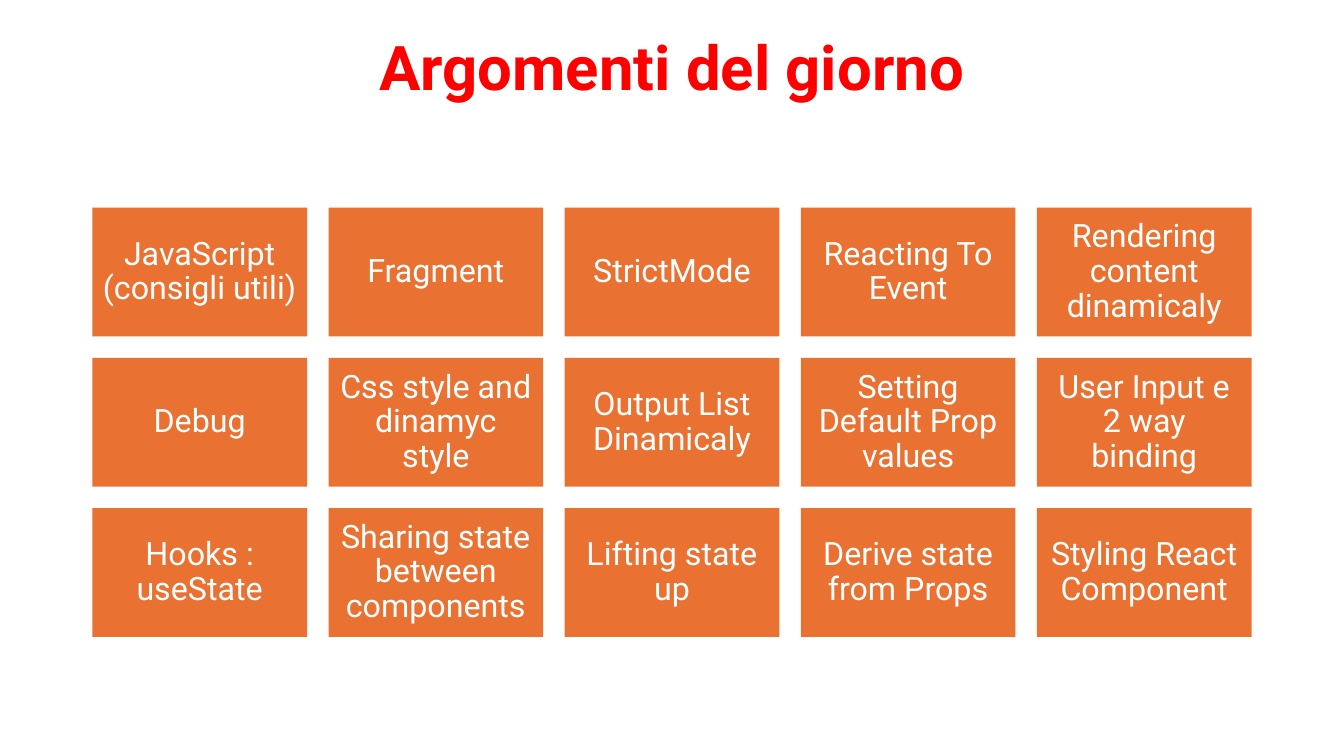
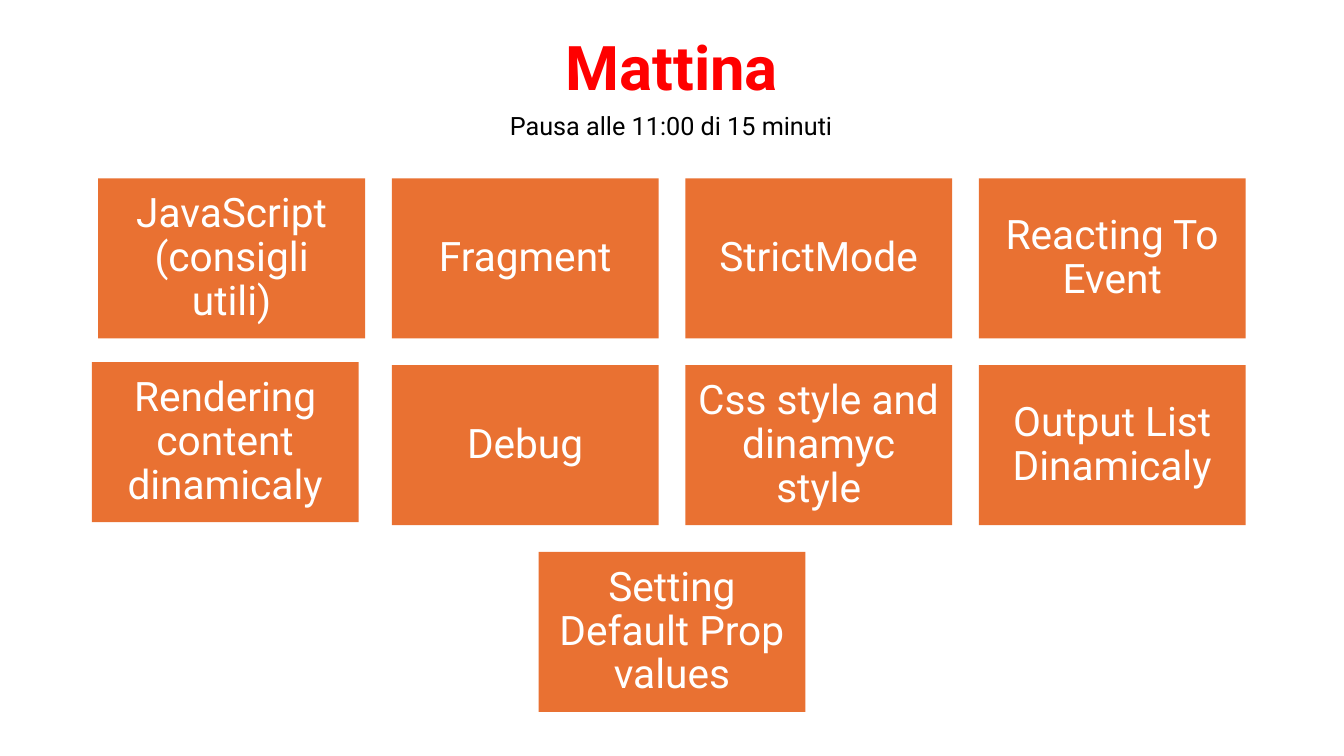
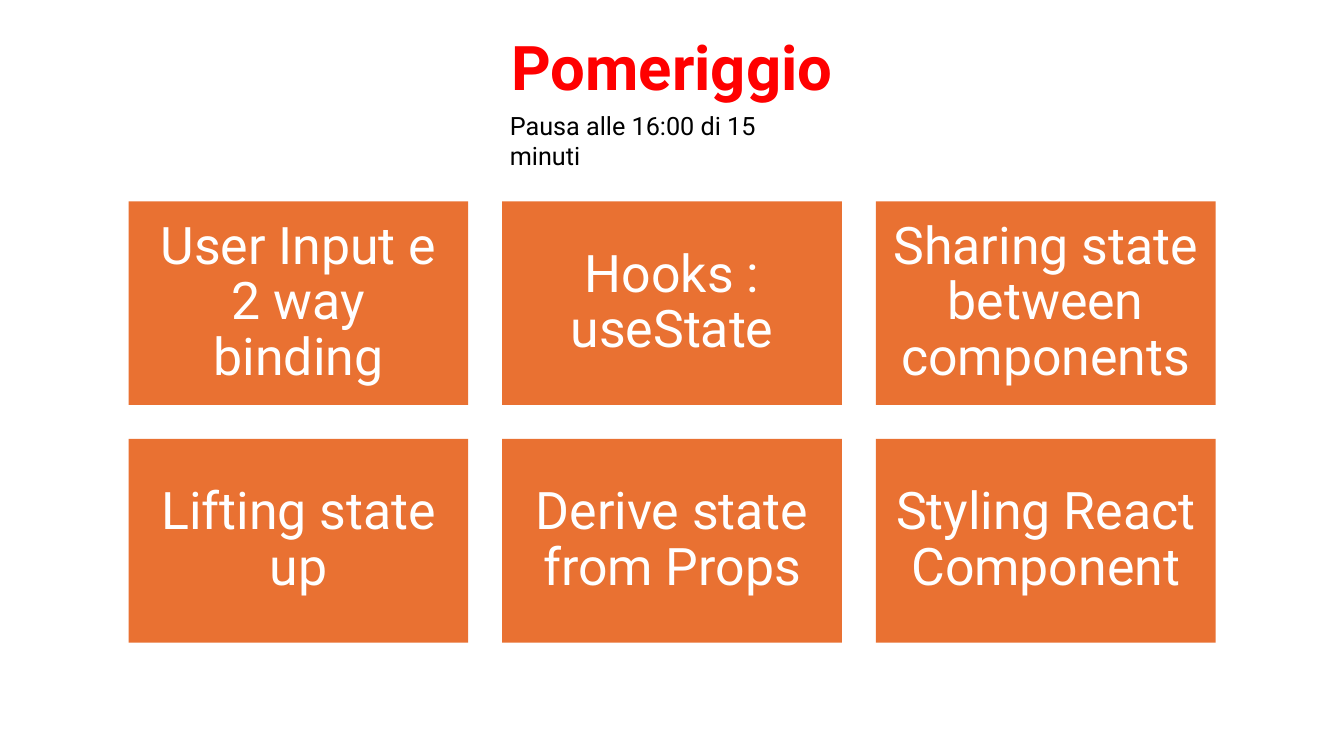
"""Build the three agenda slides of a web development course day."""
import pptx
import pptx.util
import pptx.dml.color
import pptx.enum.shapes
import pptx.enum.text

RED = pptx.dml.color.RGBColor(0xFF, 0x00, 0x00)
ORANGE = pptx.dml.color.RGBColor(0xE9, 0x71, 0x32)
WHITE = pptx.dml.color.RGBColor(0xFF, 0xFF, 0xFF)
BLACK = pptx.dml.color.RGBColor(0x00, 0x00, 0x00)
FONT = "Roboto"
SLIDE_WIDTH = pptx.util.Inches(13.33)
SLIDE_HEIGHT = pptx.util.Inches(7.5)
TITLE_ONLY = 5
TITLE_BOX = (6.88, 4.27, 86.25, 19.33)
GAP_SHARE = 0.1
HEIGHT_SHARE = 0.6
INSET_SHARE = 0.05

MORNING = [
    "JavaScript (consigli utili)", "Fragment", "StrictMode", "Reacting To Event",
    "Rendering content dinamicaly", "Debug", "Css style and dinamyc style",
    "Output List Dinamicaly", "Setting Default Prop values",
]
AFTERNOON = [
    "User Input e 2 way binding", "Hooks : useState", "Sharing state between components",
    "Lifting state up", "Derive state from Props", "Styling React Component",
]


def across(percent):
    """Return a percentage of the slide width as a length."""
    return int(SLIDE_WIDTH * percent / 100)


def down(percent):
    """Return a percentage of the slide height as a length."""
    return int(SLIDE_HEIGHT * percent / 100)


def write(frame, text, size, color, bold=False, centred=True):
    """Put one formatted paragraph into a text frame."""
    frame.text = text
    frame.word_wrap = True
    paragraph = frame.paragraphs[0]
    if centred:
        paragraph.alignment = pptx.enum.text.PP_ALIGN.CENTER
        paragraph.line_spacing = 0.9
    font = paragraph.runs[0].font
    font.name, font.size, font.bold = FONT, pptx.util.Pt(size), bold
    font.color.rgb = color


def add_titled_slide(deck, heading):
    """Add a slide with its heading in the title placeholder."""
    slide = deck.slides.add_slide(deck.slide_layouts[TITLE_ONLY])
    title = slide.shapes.title
    left, top, width, height = TITLE_BOX
    title.left, title.top = across(left), down(top)
    title.width, title.height = across(width), down(height)
    write(title.text_frame, heading, 44, RED, bold=True)
    title.text_frame.auto_size = pptx.enum.text.MSO_AUTO_SIZE.NONE
    title.text_frame.vertical_anchor = pptx.enum.text.MSO_ANCHOR.TOP
    return slide


def add_break_note(slide, text, box):
    """Add the line that announces the break below the heading."""
    left, top, width, height = box
    note = slide.shapes.add_textbox(across(left), down(top), across(width), down(height))
    write(note.text_frame, text, 18, BLACK, centred=False)


def add_topic(slide, topic, left, top, width, size):
    """Add one topic tile whose height and insets follow its width."""
    tile = slide.shapes.add_shape(
        pptx.enum.shapes.MSO_SHAPE.RECTANGLE,
        int(left), int(top), int(width), int(width * HEIGHT_SHARE))
    tile.shadow.inherit = False
    tile.fill.solid()
    tile.fill.fore_color.rgb = ORANGE
    tile.line.fill.background()
    frame = tile.text_frame
    inset = int(width * INSET_SHARE * 0.9)
    frame.margin_left = frame.margin_right = inset
    frame.margin_top = frame.margin_bottom = inset
    frame.vertical_anchor = pptx.enum.text.MSO_ANCHOR.MIDDLE
    write(frame, topic, size, WHITE)


def add_topic_grid(slide, topics, columns, box, size, shifts=None):
    """Fill a box with rows of topic tiles, centring a short last row."""
    left, top, width = across(box[0]), down(box[1]), across(box[2])
    tile_width = width / (columns + (columns - 1) * GAP_SHARE)
    column_step = tile_width * (1 + GAP_SHARE)
    row_step = tile_width * (HEIGHT_SHARE + GAP_SHARE)
    for index, topic in enumerate(topics):
        row, column = divmod(index, columns)
        missing = max(0, columns - (len(topics) - row * columns))
        shift_x, shift_y = (shifts or {}).get(topic, (0, 0))
        add_topic(slide, topic,
                  left + (column + missing / 2) * column_step + across(shift_x),
                  top + row * row_step + down(shift_y), tile_width, size)


def main():
    """Build and save the deck."""
    deck = pptx.Presentation()
    deck.slide_width, deck.slide_height = SLIDE_WIDTH, SLIDE_HEIGHT

    day = add_titled_slide(deck, "Argomenti del giorno")
    add_topic_grid(day, MORNING + AFTERNOON, 5, (6.88, 27.47, 86.25), 23)

    morning = add_titled_slide(deck, "Mattina")
    add_topic_grid(morning, MORNING, 4, (7.31, 23.6, 85.38), 29,
                   {"Rendering content dinamicaly": (-0.48, -0.4)})
    add_break_note(morning, "Pausa alle 11:00 di 15 minuti", (37.2, 13.87, 25.58, 5.33))

    afternoon = add_titled_slide(deck, "Pomeriggio")
    add_topic_grid(afternoon, AFTERNOON, 3, (9.57, 26.63, 80.87), 37)
    add_break_note(afternoon, "Pausa alle 16:00 di 15 minuti", (37.2, 13.87, 24.75, 5.33))

    deck.save("out.pptx")


if __name__ == "__main__":
    main()
